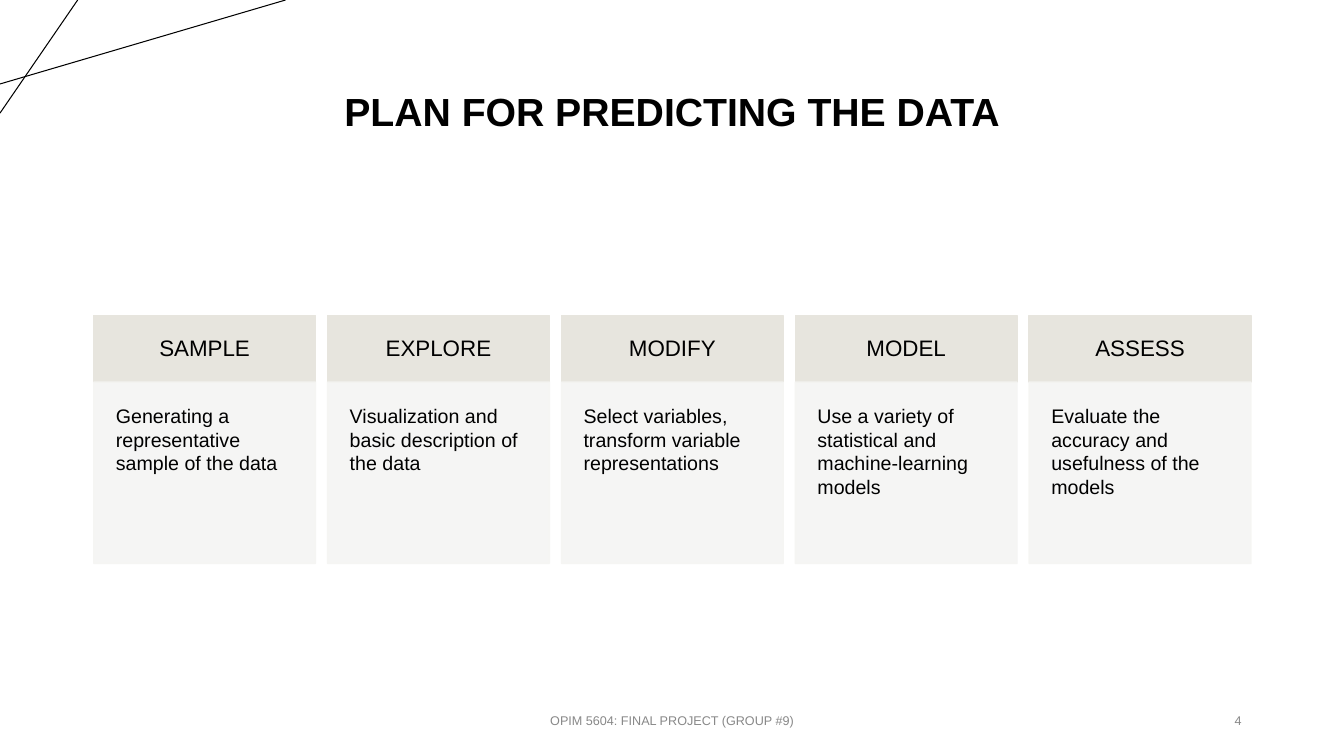
import pptx
import pptx.dml.color
import pptx.enum.shapes
import pptx.enum.text
import pptx.oxml.ns
import pptx.util
from lxml import etree

Pt = pptx.util.Pt
ALIGN = pptx.enum.text.PP_ALIGN
ANCHOR = pptx.enum.text.MSO_ANCHOR

STAGES = [
    ("SAMPLE", "Generating a representative sample of the data"),
    ("EXPLORE", "Visualization and basic description of the data"),
    ("MODIFY", "Select variables, transform variable representations"),
    ("MODEL", "Use a variety of statistical and machine-learning models"),
    ("ASSESS", "Evaluate the accuracy and usefulness of the models"),
]
CARD_LEFT, CARD_TOP = 67, 225.4
CARD_WIDTH, CARD_PITCH = 158.4, 167.04
HEADER_HEIGHT, BODY_HEIGHT = 47.5, 129.6


def color(hex_string):
    return pptx.dml.color.RGBColor.from_string(hex_string)


def set_opacity(shape, percent):
    """Make the solid fill and outline of a shape partly transparent."""
    for element in shape._element.spPr.iter(pptx.oxml.ns.qn("a:srgbClr")):
        alpha = etree.SubElement(element, pptx.oxml.ns.qn("a:alpha"))
        alpha.set("val", str(percent * 1000))


class SlideBuilder:
    font = "Arial"
    ink = "000000"
    muted = "888888"
    header_fill = "E7E5DE"
    body_fill = "F5F5F3"

    def __init__(self, presentation):
        self.slide = presentation.slides.add_slide(presentation.slide_layouts[5])

    def set_text(self, shape, text, size, align, anchor, insets,
                 ink=None, bold=False, spacing=1.0):
        """Fill a shape with one styled paragraph; insets are (sides, top and bottom)."""
        frame = shape.text_frame
        frame.text = text
        frame.word_wrap = True
        frame.auto_size = pptx.enum.text.MSO_AUTO_SIZE.NONE
        frame.vertical_anchor = anchor
        frame.margin_left = frame.margin_right = Pt(insets[0])
        frame.margin_top = frame.margin_bottom = Pt(insets[1])
        paragraph = frame.paragraphs[0]
        paragraph.alignment = align
        paragraph.line_spacing = spacing
        for run in paragraph.runs:
            run.font.name = self.font
            run.font.size = Pt(size)
            run.font.bold = bold
            run.font.color.rgb = color(ink or self.ink)

    def title(self, text, left, top, width, height):
        title = self.slide.shapes.title
        title.left, title.top = Pt(left), Pt(top)
        title.width, title.height = Pt(width), Pt(height)
        self.set_text(title, text, 28, ALIGN.CENTER, ANCHOR.MIDDLE, (7.2, 3.6),
                      bold=True, spacing=0.9)

    def line(self, start, end):
        connector = self.slide.shapes.add_connector(
            pptx.enum.shapes.MSO_CONNECTOR.STRAIGHT,
            Pt(start[0]), Pt(start[1]), Pt(end[0]), Pt(end[1]))
        connector.line.color.rgb = color(self.ink)
        connector.line.width = Pt(0.75)
        etree.SubElement(connector._element.spPr, pptx.oxml.ns.qn("a:effectLst"))

    def box(self, left, top, width, height, fill):
        shape = self.slide.shapes.add_shape(
            pptx.enum.shapes.MSO_SHAPE.RECTANGLE,
            Pt(left), Pt(top), Pt(width), Pt(height))
        shape.shadow.inherit = False
        shape.fill.solid()
        shape.fill.fore_color.rgb = color(fill)
        shape.line.color.rgb = color(fill)
        shape.line.width = Pt(1)
        return shape

    def card(self, left, heading, description):
        header = self.box(left, CARD_TOP, CARD_WIDTH, HEADER_HEIGHT, self.header_fill)
        self.set_text(header, heading, 16, ALIGN.CENTER, ANCHOR.MIDDLE, (12.2, 12.2),
                      spacing=0.9)
        body = self.box(left, CARD_TOP + HEADER_HEIGHT, CARD_WIDTH, BODY_HEIGHT,
                        self.body_fill)
        set_opacity(body, 90)
        self.set_text(body, description, 14, ALIGN.LEFT, ANCHOR.TOP, (15.8, 15.8))

    def footer(self, text, left, width, align):
        shape = self.slide.shapes.add_textbox(Pt(left), Pt(500.4), Pt(width), Pt(28.8))
        self.set_text(shape, text, 9, align, ANCHOR.MIDDLE, (7.2, 3.6), ink=self.muted)


def main():
    presentation = pptx.Presentation()
    presentation.slide_width, presentation.slide_height = Pt(960), Pt(540)
    builder = SlideBuilder(presentation)
    builder.line((0, 60), (204, 0))
    builder.line((55.5, 0), (0, 80.8))
    builder.title("PLAN FOR PREDICTING THE DATA", 66, 28.8, 828, 104.4)
    for index, (heading, description) in enumerate(STAGES):
        builder.card(CARD_LEFT + index * CARD_PITCH, heading, description)
    builder.footer("4", 678, 216, ALIGN.RIGHT)
    builder.footer("OPIM 5604: FINAL PROJECT (GROUP #9)", 318, 324, ALIGN.CENTER)
    presentation.save("out.pptx")


if __name__ == "__main__":
    main()
